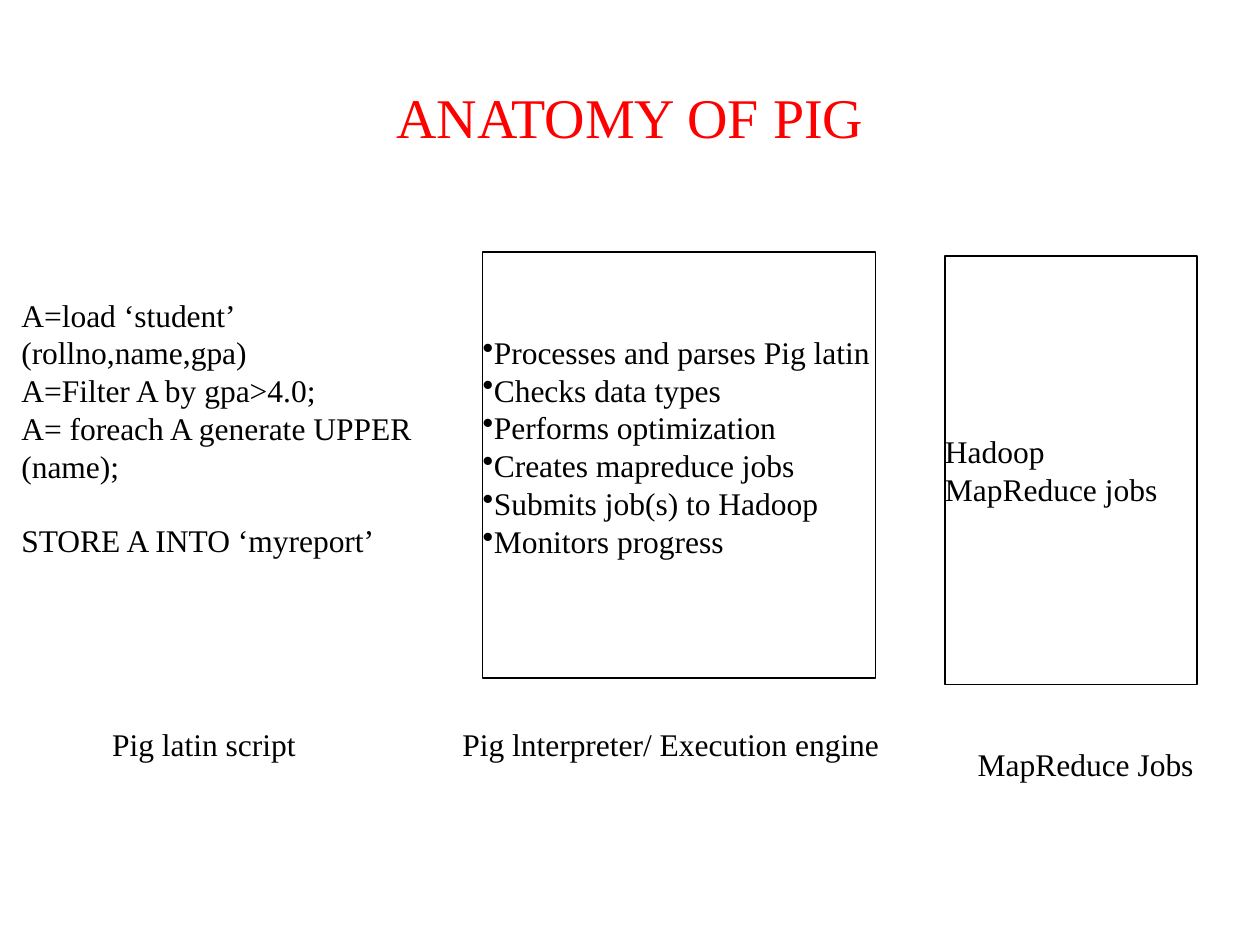
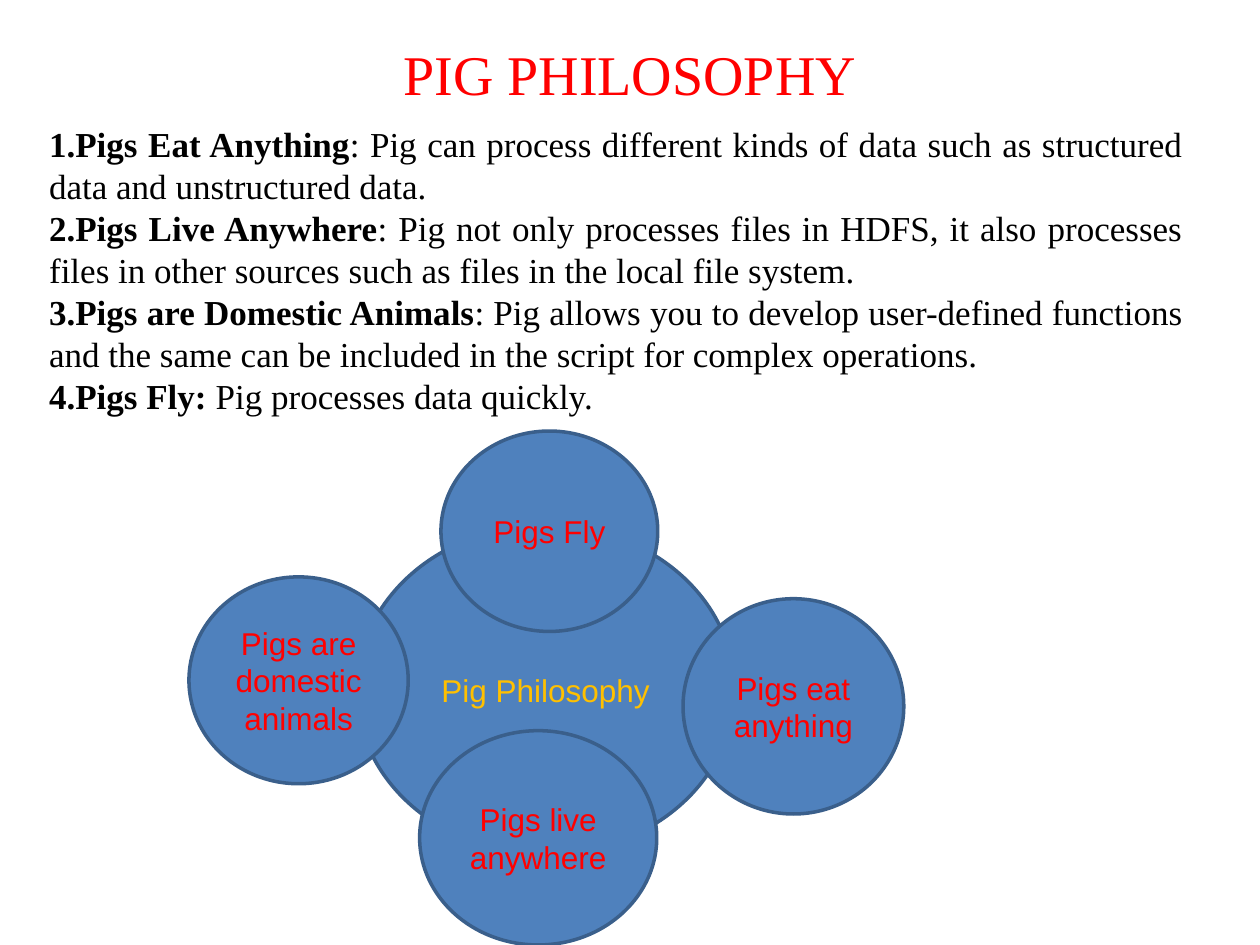
"""Build two slides on the anatomy and the philosophy of Pig."""
from lxml import etree
from pptx import Presentation
from pptx.dml.color import RGBColor
from pptx.enum.shapes import MSO_SHAPE
from pptx.enum.text import MSO_ANCHOR, MSO_AUTO_SIZE, PP_ALIGN
from pptx.oxml.ns import qn
from pptx.util import Cm, Pt

SERIF, SANS = "Times New Roman", "Arial"
BLACK, RED, GOLD = "000000", "FF0000", "FFC000"
BLUE, DARK_BLUE = "4F81BD", "3A5F8B"
INSET_BOX = (0.25, 0.13, 0.25, 0.13)


def place(shape, box):
    """Move and size a shape, given left, top, width and height in centimetres."""
    shape.left, shape.top, shape.width, shape.height = [Cm(length) for length in box]
    return shape


def write(shape, paragraphs, font=SERIF, size=18, color=BLACK, align=PP_ALIGN.LEFT,
          anchor=MSO_ANCHOR.MIDDLE, insets=(0, 0, 0, 0), bullet=None, indent=0,
          fill=None, line=None, line_width=0.75):
    """Fill a shape with paragraphs, each a text or a (bold lead, text) pair."""
    if fill:
        shape.fill.solid()
        shape.fill.fore_color.rgb = RGBColor.from_string(fill)
    if line:
        shape.shadow.inherit = False
        shape.line.color.rgb = RGBColor.from_string(line)
        shape.line.width = Pt(line_width)
    frame = shape.text_frame
    frame.word_wrap = True
    frame.auto_size = MSO_AUTO_SIZE.NONE
    frame.vertical_anchor = anchor
    (frame.margin_left, frame.margin_top,
     frame.margin_right, frame.margin_bottom) = [Cm(inset) for inset in insets]
    for index, content in enumerate(paragraphs):
        paragraph = frame.add_paragraph() if index else frame.paragraphs[0]
        paragraph.alignment = align
        paragraph.space_before = Pt(0)
        properties = paragraph._p.get_or_add_pPr()
        properties.set("marL", "0")
        properties.set("indent", str(Cm(indent)))
        if bullet:
            bullet_color = etree.SubElement(properties, qn("a:buClr"))
            etree.SubElement(bullet_color, qn("a:srgbClr"), val=color)
            kind, attributes = bullet
            etree.SubElement(properties, qn(kind), **attributes)
        else:
            etree.SubElement(properties, qn("a:buNone"))
        lead, text = content if isinstance(content, tuple) else ("", content)
        for words, bold in ((lead, True), (text, False)):
            if words:
                run = paragraph.add_run()
                run.text = words
                run.font.name = font
                run.font.size = Pt(size)
                run.font.bold = bold
                run.font.color.rgb = RGBColor.from_string(color)


presentation = Presentation()
presentation.slide_width, presentation.slide_height = Cm(25.4), Cm(19.05)
layout = presentation.slide_layouts[1]

slides = []
for title, title_height in (("ANATOMY OF PIG", 3.18), ("PIG PHILOSOPHY", 1.42)):
    slide = presentation.slides.add_slide(layout)
    write(place(slide.shapes.title, (1.27, 0.76, 22.86, title_height)), [title],
          size=32, color=RED, align=PP_ALIGN.CENTER)
    slides.append(slide)
anatomy, philosophy = slides

script = place(anatomy.placeholders[1], (0.43, 4.88, 8.46, 7.47))
write(script, [
    "A=load ‘student’ (rollno,name,gpa)",
    "A=Filter A by gpa>4.0;",
    "A= foreach A generate UPPER (name);",
    "STORE A INTO ‘myreport’",
])
script.text_frame.paragraphs[-1].space_before = Pt(21)

engine_tasks = [
    "Processes and parses Pig latin",
    "Checks data types",
    "Performs optimization",
    "Creates mapreduce jobs",
    "Submits job(s) to Hadoop",
    "Monitors progress",
]
stages = [
    ((9.73, 5.08, 7.92, 8.59), engine_tasks,
     {"bullet": ("a:buChar", {"char": "•"}), "indent": -0.3, "insets": (0, 0, 0, 0.76)}),
    ((19.05, 5.16, 5.08, 8.64), ["Hadoop MapReduce jobs"], {}),
]
for box, texts, options in stages:
    stage = anatomy.shapes.add_shape(MSO_SHAPE.RECTANGLE, *[Cm(length) for length in box])
    stage.fill.background()
    write(stage, texts, line=BLACK, **options)

captions = [
    ("Pig latin script", (2.01, 14.48, 4.45, 1.02)),
    ("Pig lnterpreter/ Execution engine", (9.07, 14.48, 9.7, 1.02)),
    ("MapReduce Jobs", (19.46, 14.88, 5.36, 1.78)),
]
for text, box in captions:
    caption = anatomy.shapes.add_textbox(*[Cm(length) for length in box])
    write(caption, [text], anchor=MSO_ANCHOR.TOP, insets=INSET_BOX)

principles = [
    ("Pigs Eat Anything", ": Pig can process different kinds of data such as "
     "structured data and unstructured data."),
    ("Pigs Live Anywhere", ": Pig not only processes files in HDFS, it also processes "
     "files in other sources such as files in the local file system."),
    ("Pigs are Domestic Animals", ": Pig allows you to develop user-defined functions "
     "and the same can be included in the script for complex operations."),
    ("Pigs Fly: ", "Pig processes data quickly."),
]
write(place(philosophy.placeholders[1], (0.99, 2.39, 22.86, 6.07)), principles,
      size=20, align=PP_ALIGN.JUSTIFY, indent=-0.36,
      bullet=("a:buAutoNum", {"type": "arabicPeriod"}))

circles = [
    ("Pig Philosophy", GOLD, (7.19, 10.59, 7.62, 6.63)),
    ("Pigs are domestic animals", RED, (3.81, 11.63, 4.42, 4.17)),
    ("Pigs live anywhere", RED, (8.46, 14.73, 4.78, 4.32)),
    ("Pigs Fly", RED, (8.89, 8.69, 4.37, 4.04)),
    ("Pigs eat anything", RED, (13.77, 12.07, 4.45, 4.34)),
]
for text, color, box in circles:
    circle = philosophy.shapes.add_shape(MSO_SHAPE.OVAL, *[Cm(length) for length in box])
    write(circle, [text], font=SANS, color=color, align=PP_ALIGN.CENTER,
          insets=INSET_BOX, fill=BLUE, line=DARK_BLUE, line_width=2)

presentation.save("out.pptx")
